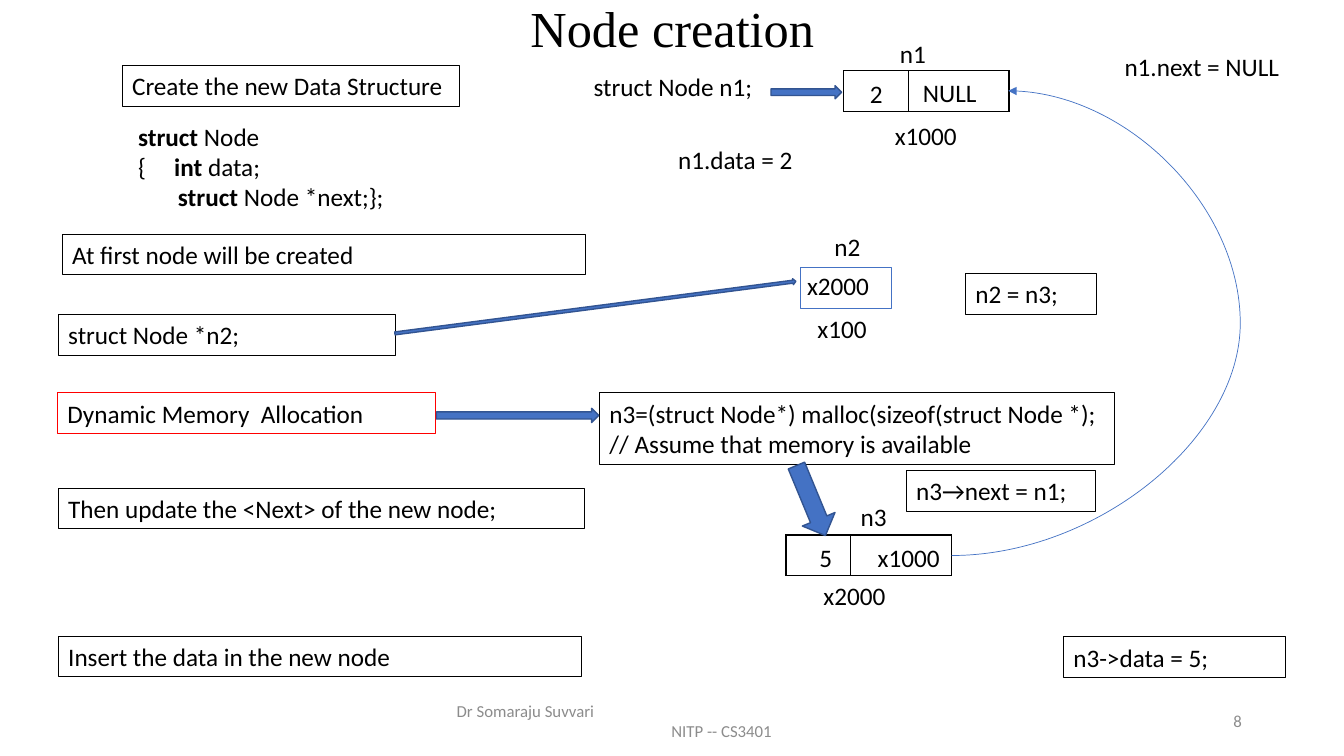
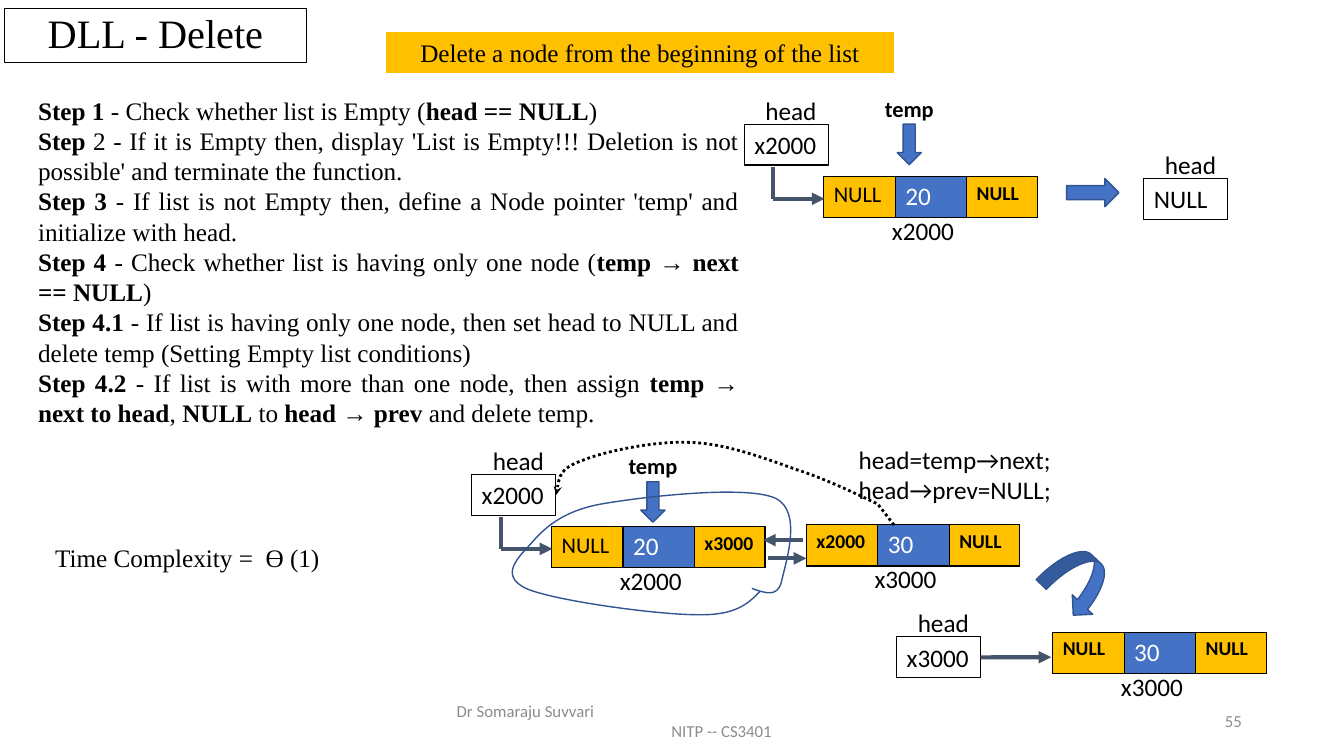
from lxml import etree
from pptx import Presentation
from pptx import util as u
from pptx.dml.color import RGBColor
from pptx.enum import dml, shapes, text
from pptx.oxml.ns import qn

BLACK, WHITE, GREY, RED = "000000", "FFFFFF", "8C8C8C", "FF0000"
BLUE, NAVY, SLATE, GOLD = "4472C4", "325491", "44546A", "FFC000"
SANS, SERIF = "Calibri", "Times New Roman"
ALIGN, ANCHOR, SHAPE = text.PP_ALIGN, text.MSO_ANCHOR, shapes.MSO_SHAPE
ROW = 1.03  # height of a one-line box


def rgb(color):
    return RGBColor.from_string(color)


def cm(*values):
    return [u.Cm(v) for v in values]


def add_xml(parent, tag, **attrs):
    return etree.SubElement(parent, qn(tag), attrs)


def put_text(tf, content, size=18, font=SANS, color=BLACK, bold=False,
             align=ALIGN.LEFT, anchor=ANCHOR.TOP, spacing=None, tab=None):
    """Write one paragraph per line; ** switches bold on and off."""
    tf.word_wrap = True
    tf.auto_size = text.MSO_AUTO_SIZE.NONE
    tf.vertical_anchor = anchor
    for i, line in enumerate(content.split("\n")):
        p = tf.add_paragraph() if i else tf.paragraphs[0]
        p.alignment = align
        if spacing:
            p.line_spacing = spacing
        if tab:
            tabs = add_xml(p._p.get_or_add_pPr(), "a:tabLst")
            add_xml(tabs, "a:tab", pos=str(u.Cm(tab)), algn="l")
        for j, part in enumerate(line.split("**")):
            if part:
                r = p.add_run()
                r.text = part
                r.font.size, r.font.name = u.Pt(size), font
                r.font.bold = bold or j % 2 == 1
                r.font.color.rgb = rgb(color)


def set_fill(fill, color):
    if color:
        fill.solid()
        fill.fore_color.rgb = rgb(color)
    else:
        fill.background()


def set_line(sp, color, width, arrow=None, dash=None):
    sp.line.color.rgb = rgb(color)
    sp.line.width = u.Pt(width)
    if dash:
        sp.line.dash_style = dash
    if arrow:
        add_xml(sp.element.spPr.find(qn("a:ln")), "a:tailEnd", type=arrow)


class Deck:
    def __init__(self):
        self.prs = Presentation()
        self.prs.slide_width, self.prs.slide_height = cm(33.87, 19.05)
        self.s = None

    def slide(self, title, x, y, w, h, number, size, line=None):
        """Start a slide with its title, footer and number."""
        self.s = self.prs.slides.add_slide(self.prs.slide_layouts[5])
        sp = self.s.shapes.title
        sp.left, sp.top, sp.width, sp.height = cm(x, y, w, h)
        put_text(sp.text_frame, title, size, SERIF, align=ALIGN.CENTER,
                 anchor=ANCHOR.MIDDLE, spacing=0.9)
        if line:
            set_line(sp, line, 0.75)
        small = dict(size=12, color=GREY, anchor=ANCHOR.MIDDLE)
        self.label("Dr Somaraju Suvvari\n\tNITP -- CS3401",
                   11.26, 17.65, 11.43, 1.02, tab=5.41, **small)
        self.label(number, 23.93, 17.65, 7.62, 1.02, align=ALIGN.RIGHT, **small)

    def label(self, content, x, y, w, h=ROW, **fmt):
        sp = self.s.shapes.add_textbox(*cm(x, y, w, h))
        put_text(sp.text_frame, content, **fmt)

    def box(self, content, x, y, w, h=ROW, line=BLACK, fill=None, **fmt):
        sp = self.s.shapes.add_shape(SHAPE.RECTANGLE, *cm(x, y, w, h))
        sp.shadow.inherit = False
        set_fill(sp.fill, fill)
        if line:
            set_line(sp, line, 0.75)
        else:
            sp.line.fill.background()
        put_text(sp.text_frame, content, **fmt)
        return sp

    def block_arrow(self, kind, x, y, w, h, turn=0):
        sp = self.s.shapes.add_shape(kind, *cm(x, y, w, h))
        sp.shadow.inherit = False
        set_fill(sp.fill, BLUE)
        set_line(sp, NAVY, 1)
        sp.rotation = turn

    def connector(self, x1, y1, x2, y2, color=SLATE, width=3,
                  arrow="triangle", bend=None, start=None):
        """Draw a straight line, or a curve when a bend is given."""
        kind = shapes.MSO_CONNECTOR.CURVE if bend else shapes.MSO_CONNECTOR.STRAIGHT
        sp = self.s.shapes.add_connector(kind, *cm(x1, y1, x2, y2))
        if start:
            sp.begin_connect(start, 3)
        set_line(sp, color, width, arrow)
        add_xml(sp.element.spPr, "a:effectLst")
        if bend:
            geom = sp.element.spPr.find(qn("a:prstGeom"))
            av = geom.find(qn("a:avLst"))
            if av is None:
                av = add_xml(geom, "a:avLst")
            add_xml(av, "a:gd", name="adj1", fmla=f"val {bend}")

    def curve(self, start, segments, color, width, **line):
        """Draw an open outline; three points make a curve, one a straight line."""
        fb = self.s.shapes.build_freeform(*cm(*start))
        fb.add_line_segments([cm(*pt) for seg in segments for pt in seg],
                             close=False)
        sp = fb.convert_to_shape()
        steps = iter(list(sp.element.iter(qn("a:lnTo"))))
        for seg in segments:
            first = next(steps)
            if len(seg) == 3:
                first.tag = qn("a:cubicBezTo")
                for _ in range(2):
                    step = next(steps)
                    first.append(step[0])
                    step.getparent().remove(step)
        sp.shadow.inherit = False
        set_fill(sp.fill, None)
        set_line(sp, color, width, **line)

    def table(self, x, y, widths, h, cells):
        """Draw a one-row table; each cell is (text, fill, format)."""
        frame = self.s.shapes.add_table(1, len(widths), *cm(x, y, sum(widths), h))
        tbl = frame.table
        tbl.first_row = tbl.horz_banding = False
        tbl.rows[0].height = u.Cm(h)
        for i, (content, fill, fmt) in enumerate(cells):
            tbl.columns[i].width = u.Cm(widths[i])
            cell = tbl.cell(0, i)
            put_text(cell.text_frame, content, **fmt)
            tc_pr = cell._tc.get_or_add_tcPr()
            for side in "LRTB":
                ln = add_xml(tc_pr, f"a:ln{side}", w=str(u.Pt(1)))
                add_xml(add_xml(ln, "a:solidFill"), "a:srgbClr", val=BLACK)
            set_fill(cell.fill, fill)

    # Parts of the linked-list drawings
    def single_node(self, x, y):
        self.table(x, y, [1.63, 2.54], 1.02, [("", None, {})] * 2)

    def double_node(self, x, y, prev, data, following, address, prev_fmt=None):
        strong = dict(size=14, bold=True)
        self.table(x, y, [1.8, 1.8, 1.78], 1.04, [
            (prev, GOLD, prev_fmt or strong),
            (data, BLUE, dict(color=WHITE)),
            (following, GOLD, strong)])
        self.label(address, x + 1.47, y + 0.86, 2.29)

    def head(self, value, x, y):
        self.label("head", x + 0.28, y - 0.86, 2.11)
        return self.box(value, x, y, 2.11)

    def temp(self, x, y):
        self.block_arrow(SHAPE.DOWN_ARROW, x, y, 0.61, 1.02)
        self.label("temp", x - 0.56, y - 0.86, 1.93, 0.94, size=16, bold=True)

    def elbow_to(self, x, y):
        """Lead from a head box down into the left side of a node."""
        left, mid = x - 1.27, y + 0.56
        self.connector(left, mid, x + 0.02, mid)
        self.connector(left, mid, left, y - 0.23, arrow=None)


def node_creation(d):
    d.slide("Node creation", 2.34, 0.36, 29.21, 0.84, "8", 36)

    # Steps and statements
    d.label("**struct** Node\n{\t**int** data;\n       **struct** Node *next;};",
            3.23, 2.93, 6.76, 2.57, tab=0.91)
    for content, x, y, w in [
            ("Create the new Data Structure", 3.08, 1.65, 8.51),
            ("At first node will be created", 1.57, 5.9, 13.18),
            ("struct Node *n2;", 1.47, 7.92, 8.51),
            ("Then update the <Next> of the new node;", 1.47, 12.3, 13.26),
            ("Insert the data in the new node", 1.47, 16.03, 13.18),
            ("n2 = n3;", 24.33, 6.9, 3.3),
            ("n3→next = n1;", 22.84, 11.85, 4.78),
            ("n3->data = 5;", 26.8, 16.05, 5.59)]:
        d.box(content, x, y, w)
    d.box("Dynamic Memory  Allocation", 1.45, 9.9, 9.53, line=RED)
    d.box("n3=(struct Node*) malloc(sizeof(struct Node *);\n"
          "// Assume that memory is available", 15.11, 9.9, 12.98, 1.8)

    # Nodes, their values, names and addresses
    d.single_node(21.26, 1.78)
    d.single_node(19.81, 13.48)
    d.box("", 20.17, 6.75, 2.29, line=BLUE)
    for content, x, y, w in [
            ("2", 21.67, 1.85, 1.04), ("NULL", 23.01, 1.83, 2.11),
            ("5", 20.4, 13.54, 0.81), ("x1000", 21.87, 13.54, 2.24),
            ("x2000", 20.09, 6.68, 2.18),
            ("n1", 22.43, 0.84, 1.55), ("x1000", 22.3, 2.9, 3.1),
            ("n2", 20.78, 5.71, 1.4), ("x100", 20.35, 7.78, 1.83),
            ("n3", 21.44, 12.52, 1.4), ("x2000", 20.5, 14.51, 3.1),
            ("struct Node n1;", 14.71, 1.68, 4.7),
            ("n1.data = 2", 16.84, 3.51, 3.51),
            ("n1.next = NULL", 28.09, 1.17, 4.8)]:
        d.label(content, x, y, w)

    # Arrows
    for x, y, w, h, turn in [
            (19.43, 2.16, 1.78, 0.33, 0), (9.91, 7.67, 10.19, 0.15, 352.6),
            (11, 10.29, 4.09, 0.36, 0), (19.48, 12.17, 1.91, 0.89, 67.5)]:
        d.block_arrow(SHAPE.RIGHT_ARROW, x, y, w, h, turn)
    d.connector(23.98, 14, 25.41, 2.29, BLUE, 0.5, bend=508900)


def delete_first(d):
    d.slide("DLL - Delete", 0.11, 0.21, 7.62, 1.37, "55", 28.8, line=BLACK)
    d.box("Delete a node from the beginning of the list", 9.73, 0.81, 12.8,
          line=None, fill=GOLD, font=SERIF, align=ALIGN.CENTER)

    # Algorithm
    d.label("\n".join([
        "**Step 1 **- Check whether list is Empty (**head == NULL**)",
        "**Step** 2 - If it is Empty then, display 'List is Empty!!! Deletion "
        "is not possible' and terminate the function.",
        "**Step 3 **- If list is not Empty then, define a Node pointer 'temp' "
        "and initialize with head.",
        "**Step 4 **- Check whether list is having only one node "
        "(**temp → next == NULL**)",
        "**Step 4.1 **- If list is having only one node, then set head to NULL "
        "and delete temp (Setting Empty list conditions)",
        "**Step 4.2 **- If list is with more than one node, then assign "
        "**temp → next to head**, **NULL** to **head → prev** and delete temp.",
    ]), 0.71, 2.27, 18.16, 8.71, font=SERIF, align=ALIGN.JUSTIFY)
    d.label("Time Complexity =  Ɵ (1)", 1.14, 13.55, 7.59, font=SERIF)

    # List with one node, then with two
    for head, node, temp, following in [
            ((18.76, 3.13), (20.76, 4.45), (22.61, 3.13), "NULL"),
            ((11.89, 11.96), (13.9, 13.27), (16.15, 12.14), "x3000")]:
        d.head("x2000", *head)
        d.double_node(*node, "NULL", "20", following, "x2000", dict(size=16))
        d.elbow_to(*node)
        d.temp(*temp)
    d.block_arrow(SHAPE.RIGHT_ARROW, 26.88, 4.5, 1.32, 0.71)
    d.head("NULL", 28.83, 4.5)

    # Second node and its links
    d.double_node(20.32, 13.22, "x2000", "30", "NULL", "x3000")
    d.connector(19.35, 14.07, 20.32, 14.07)
    d.connector(20.24, 13.61, 19.23, 13.61)
    d.label("head=temp→next;\nhead→prev=NULL;", 21.39, 11.06, 5.99, 1.8)

    # Loop around the deleted node and new path of head
    d.curve((18.95, 14.83), [
        [(19.28, 14.94), (19.58, 15.06), (19.69, 14.68)],
        [(19.76, 14.3), (20.27, 12.88), (19.53, 12.55)],
        [(18.77, 12.22), (16.18, 12.52), (15.16, 12.7)],
        [(14.15, 12.88), (13.69, 13.34), (13.39, 13.69)],
        [(13.06, 14.05), (12.57, 14.5), (13.26, 14.83)],
        [(13.97, 15.14), (16.56, 15.49), (17.55, 15.49)],
        [(18.54, 15.52), (18.85, 15.21), (19.15, 14.91)]], NAVY, 1)
    d.curve((22.53, 13.23), [
        [(22.12, 12.7)],
        [(21.79, 12.55), (20.88, 12.09), (20.09, 11.84)],
        [(19.3, 11.56), (18.31, 11.18), (17.42, 11.15)],
        [(16.51, 11.1), (15.21, 11.38), (14.66, 11.61)],
        [(14.1, 11.81), (14.07, 12.14), (14.02, 12.47)]],
        BLACK, 2, arrow="stealth", dash=dml.MSO_LINE.ROUND_DOT)

    # Result
    d.block_arrow(SHAPE.CURVED_LEFT_ARROW, 26.49, 13.84, 1.42, 1.65, 313.8)
    head = d.head("x3000", 22.6, 16.05)
    d.double_node(26.53, 15.93, "NULL", "30", "NULL", "x3000")
    d.connector(24.71, 16.56, 26.49, 16.56, start=head)


def main():
    d = Deck()
    node_creation(d)
    delete_first(d)
    d.prs.save("out.pptx")


if __name__ == "__main__":
    main()
